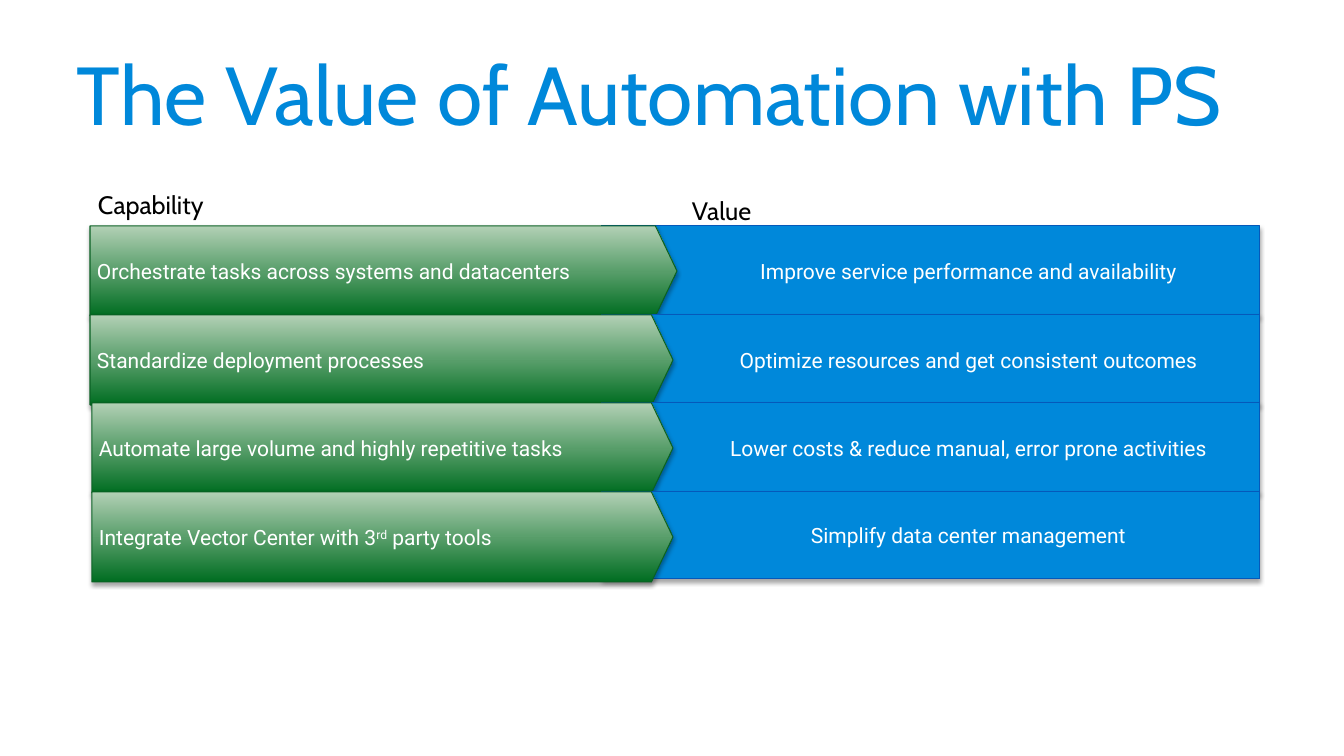
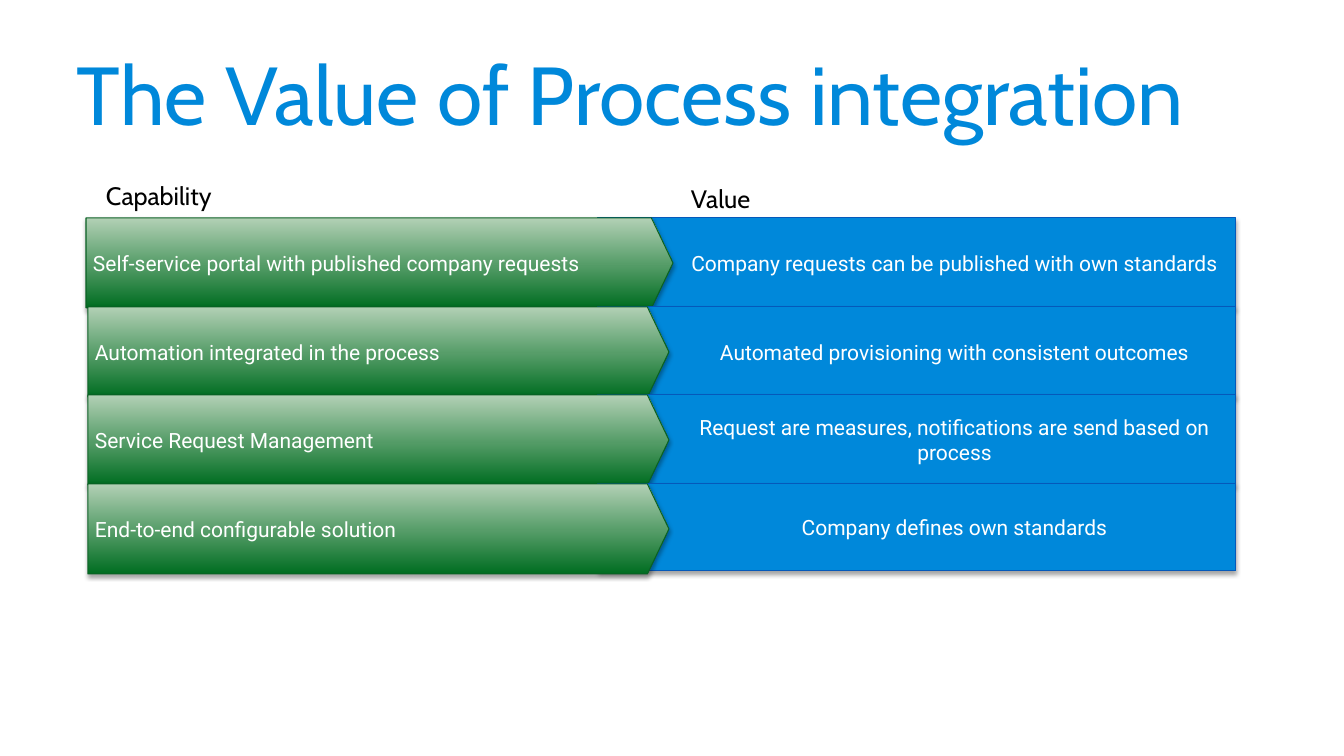
import pptx
import pptx.util
import pptx.dml.color
import pptx.enum.shapes
import pptx.enum.text
import pptx.oxml.ns
import lxml.etree
from dataclasses import dataclass

PX = 914400 / 100.8
KIND = pptx.enum.shapes.MSO_SHAPE
ALIGN = pptx.enum.text.PP_ALIGN
MIDDLE = pptx.enum.text.MSO_ANCHOR.MIDDLE


@dataclass(frozen=True)
class Theme:
    blue: str = "0088DA"
    rim: str = "0559BA"
    dark: str = "006D21"
    light: str = "B2D0B5"
    edge: str = "0A6124"
    white: str = "FFFFFF"
    black: str = "000000"
    head: str = "Cabin"
    body: str = "Roboto"
    title: float = 58.7
    label: float = 18
    text: float = 15


THEME = Theme()


def emu(px):
    return pptx.util.Emu(round(px * PX))


def rgb(code):
    return pptx.dml.color.RGBColor.from_string(code)


def write(shape, text, font, size, color, pad, align=ALIGN.LEFT):
    """Fill a frame with one paragraph; parts between ^ marks are raised."""
    frame = shape.text_frame
    frame.word_wrap = True
    (frame.margin_left, frame.margin_top,
     frame.margin_right, frame.margin_bottom) = map(emu, pad)
    para = frame.paragraphs[0]
    para.alignment = align
    para.font.name = font
    para.font.size = pptx.util.Pt(size)
    para.font.color.rgb = rgb(color)
    for i, part in enumerate(text.split("^")):
        run = para.add_run()
        run.text = part
        if i % 2:
            run.font._element.set("baseline", "30000")
    return para


def shade(shape):
    """Soft shadow straight below the shape."""
    shape.shadow.inherit = False
    qn = pptx.oxml.ns.qn
    effect = shape._element.spPr.find(qn("a:effectLst"))
    outer = lxml.etree.SubElement(
        effect, qn("a:outerShdw"), blurRad="39370", dist="22860",
        dir="5400000", rotWithShape="0")
    tint = lxml.etree.SubElement(outer, qn("a:srgbClr"), val=THEME.black)
    lxml.etree.SubElement(tint, qn("a:alpha"), val="35000")


def block(slide, kind, box, line, text, align):
    shape = slide.shapes.add_shape(kind, *map(emu, box))
    shape.line.color.rgb = rgb(line)
    shape.line.width = pptx.util.Pt(0.75)
    shade(shape)
    shape.text_frame.vertical_anchor = MIDDLE
    para = write(shape, text, THEME.body, THEME.text, THEME.white,
                 (7, 4, 7, 4), align)
    return shape, para


def value(slide, box, text):
    """Blue bar, its text kept clear of the arrow tip."""
    bar, para = block(slide, KIND.RECTANGLE, box, THEME.rim, text, ALIGN.CENTER)
    bar.fill.solid()
    bar.fill.fore_color.rgb = rgb(THEME.blue)
    props = para._p.get_or_add_pPr()
    props.set("marL", str(emu(75)))
    props.set("indent", "0")


def skill(slide, box, text):
    """Green arrow, light at the top."""
    arrow, _ = block(slide, KIND.PENTAGON, box, THEME.edge, text, ALIGN.LEFT)
    arrow.adjustments[0] = 0.239
    arrow.fill.gradient()
    arrow.fill.gradient_angle = 90
    for stop, code in zip(arrow.fill.gradient_stops, (THEME.dark, THEME.light)):
        stop.color.rgb = rgb(code)


def title(slide, box, text):
    shape = slide.shapes.add_textbox(*map(emu, box))
    shape.text_frame.vertical_anchor = MIDDLE
    write(shape, text, THEME.head, THEME.title, THEME.blue, (10, 5, 10, 5))


def label(slide, box, text, space):
    shape = slide.shapes.add_textbox(*map(emu, box))
    para = write(shape, text, THEME.head, THEME.label, THEME.black,
                 (20, 15, 10, 5))
    para.line_spacing = space


def board(slide, box, flush, rows):
    """Four rows of arrow and bar; the first flush arrows sit at the left edge."""
    left, top, width, height = box
    last = len(rows) - 1
    tall = 90
    for i, (able, worth) in enumerate(rows):
        y = top + round(i * (height - tall) / last)
        value(slide, (left + 512, y, width - 512, 87 if i == last else tall), worth)
        shift = 0 if i < flush else 2
        tip = 583 if i else 587
        skill(slide, (left + shift, y, tip - shift, tall), able)


def page(deck, name, box, flush, heads, rows):
    slide = deck.slides.add_slide(deck.slide_layouts[6])
    title(slide, (67, 30, 1210, 126), name)
    board(slide, box, flush, rows)
    for text, space, (x, y) in zip(("Capability", "Value"), (1.2, 1.4), heads):
        label(slide, (box[0] + x, box[1] + y, 341, 54), text, space)


PAGES = [
    ("The Value of Automation with PS", (90, 226, 1170, 356), 2,
     ((-12, -58), (582, -58)), [
         ("Orchestrate tasks across systems and datacenters",
          "Improve service performance and availability"),
         ("Standardize deployment processes",
          "Optimize resources and get consistent outcomes"),
         ("Automate large volume and highly repetitive tasks",
          "Lower costs & reduce manual, error prone activities"),
         ("Integrate Vector Center with 3^rd^ party tools",
          "Simplify data center management"),
     ]),
    ("The Value of Process integration", (86, 218, 1150, 356), 1,
     ((0, -59), (585, -62)), [
         ("Self-service portal with published company requests",
          "Company requests can be published with own standards"),
         ("Automation integrated in the process",
          "Automated provisioning with consistent outcomes"),
         ("Service Request Management",
          "Request are measures, notifications are send based on process"),
         ("End-to-end configurable solution",
          "Company defines own standards"),
     ]),
]


def main():
    deck = pptx.Presentation()
    deck.slide_width, deck.slide_height = emu(1344), emu(756)
    for parts in PAGES:
        page(deck, *parts)
    deck.save("out.pptx")


if __name__ == "__main__":
    main()
